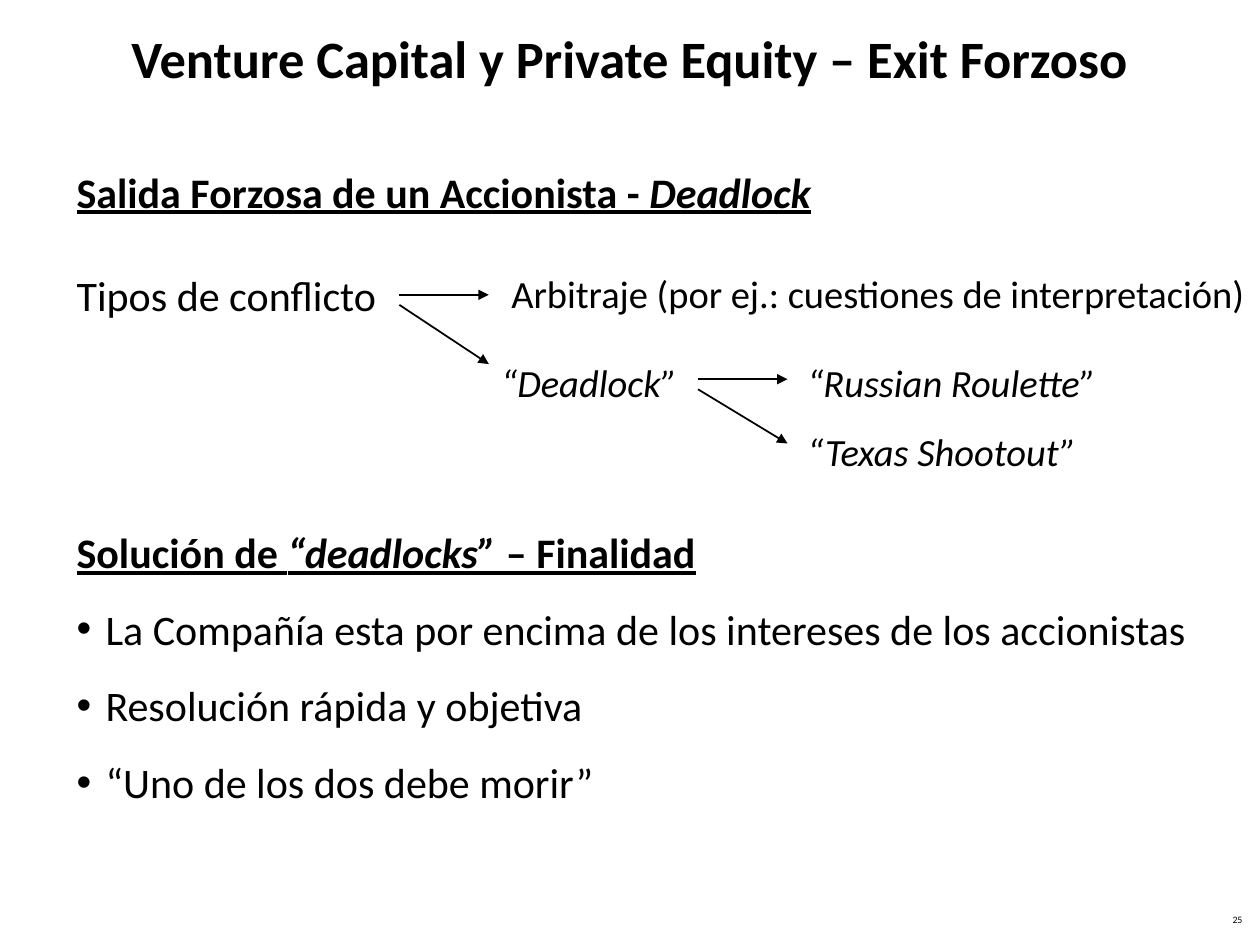
from dataclasses import dataclass

from lxml.etree import SubElement
from pptx import Presentation
from pptx.dml.color import RGBColor
from pptx.enum.shapes import MSO_CONNECTOR as Connector
from pptx.enum.text import MSO_ANCHOR as Anchor, PP_ALIGN as Align
from pptx.oxml.ns import qn
from pptx.slide import Slide
from pptx.util import Inches, Pt

BLACK = RGBColor(0x00, 0x00, 0x00)
UNIT = 0.1  # the grid has 100 columns and 75 rows
COLUMNS, ROWS = 100, 75
LEFT = 5.1  # column of the main text edge
PLAIN = ""
BOLD = "b"
ITALIC = "i"
HEADING = "bu"
HEADING_ITALIC = "bui"


def grid(count):
    return Inches(count * UNIT)


@dataclass
class Canvas:
    slide: Slide
    font: str = "Calibri"
    color: RGBColor = BLACK
    line_width: float = 1
    bullet_indent: float = 2.3
    paragraph_gap: float = 15

    def add_runs(self, para, runs, size):
        """Add (text, style) runs; a style holds the letters b, i and u."""
        for text, style in runs:
            span = para.add_run()
            span.text = text
            font = span.font
            font.name = self.font
            font.size = Pt(size)
            font.color.rgb = self.color
            font.bold = "b" in style
            font.italic = "i" in style
            font.underline = "u" in style

    def text(self, column, row, width, height, runs, size,
             align=Align.LEFT, anchor=Anchor.TOP):
        box = self.slide.shapes.add_textbox(*map(grid, (column, row, width, height)))
        frame = box.text_frame
        frame.word_wrap = True
        frame.vertical_anchor = anchor
        para = frame.paragraphs[0]
        para.alignment = align
        self.add_runs(para, runs, size)
        return frame

    def bullet(self, frame, text, size):
        para = frame.add_paragraph()
        para.space_before = Pt(self.paragraph_gap)
        props = para._p.get_or_add_pPr()
        indent = grid(self.bullet_indent)
        props.set("marL", str(indent))
        props.set("indent", str(-indent))
        color = SubElement(props, qn("a:buClr"))
        SubElement(color, qn("a:srgbClr"), val=str(self.color))
        SubElement(props, qn("a:buFont"), typeface="Arial")
        SubElement(props, qn("a:buChar"), char="•")
        self.add_runs(para, [(text, PLAIN)], size)

    def arrow(self, start, end):
        connector = self.slide.shapes.add_connector(
            Connector.STRAIGHT, *map(grid, (*start, *end)))
        connector.line.color.rgb = self.color
        connector.line.width = Pt(self.line_width)
        props = connector._element.spPr
        SubElement(props.find(qn("a:ln")), qn("a:tailEnd"), type="triangle")
        SubElement(props, qn("a:effectLst"))

    def fork(self, column, row, drop):
        """Draw a level arrow and, just below it, one that falls by drop rows."""
        end = column + 7.1
        self.arrow((column, row), (end, row))
        self.arrow((column, row + 0.8), (end, row + 0.8 + drop))


def main():
    deck = Presentation()
    deck.slide_width, deck.slide_height = grid(COLUMNS), grid(ROWS)
    canvas = Canvas(deck.slides.add_slide(deck.slide_layouts[6]))

    number = canvas.text(76.3, 72.2, 23.3, 2.1, [("25", PLAIN)], 5.6, Align.RIGHT)
    number.paragraphs[0].line_spacing = 0.8
    canvas.text(0, 0, COLUMNS, 9.1,
                [("Venture Capital y Private Equity – Exit Forzoso", BOLD)],
                30, Align.CENTER, Anchor.MIDDLE)

    canvas.text(LEFT, 12.7, 83.3, 5,
                [("Salida Forzosa de un Accionista - ", HEADING),
                 ("Deadlock", HEADING_ITALIC)], 24)
    canvas.text(LEFT, 20.9, 27.6, 5, [("Tipos de conflicto", PLAIN)], 24)

    canvas.fork(31.7, 23.4, 4.7)
    canvas.fork(55.4, 30.1, 4.3)
    outcomes = [
        (39.6, 20.9, 60.4, "Arbitraje (por ej.: cuestiones de interpretación)", PLAIN),
        (38.8, 28, 23.6, "“Deadlock”", ITALIC),
        (63.1, 28, 30.7, "“Russian Roulette”", ITALIC),
        (63.1, 33.5, 29.1, "“Texas Shootout”", ITALIC),
    ]
    for column, row, width, label, style in outcomes:
        canvas.text(column, row, width, 4.7, [(label, style)], 22)

    solution = canvas.text(LEFT, 41.3, 92.3, 23.3,
                           [("Solución de ", HEADING),
                            ("“deadlocks”", HEADING_ITALIC),
                            (" – Finalidad", HEADING)], 24)
    for goal in ("La Compañía esta por encima de los intereses de los accionistas",
                 "Resolución rápida y objetiva",
                 "“Uno de los dos debe morir”"):
        canvas.bullet(solution, goal, 24)

    deck.save("out.pptx")


if __name__ == "__main__":
    main()
